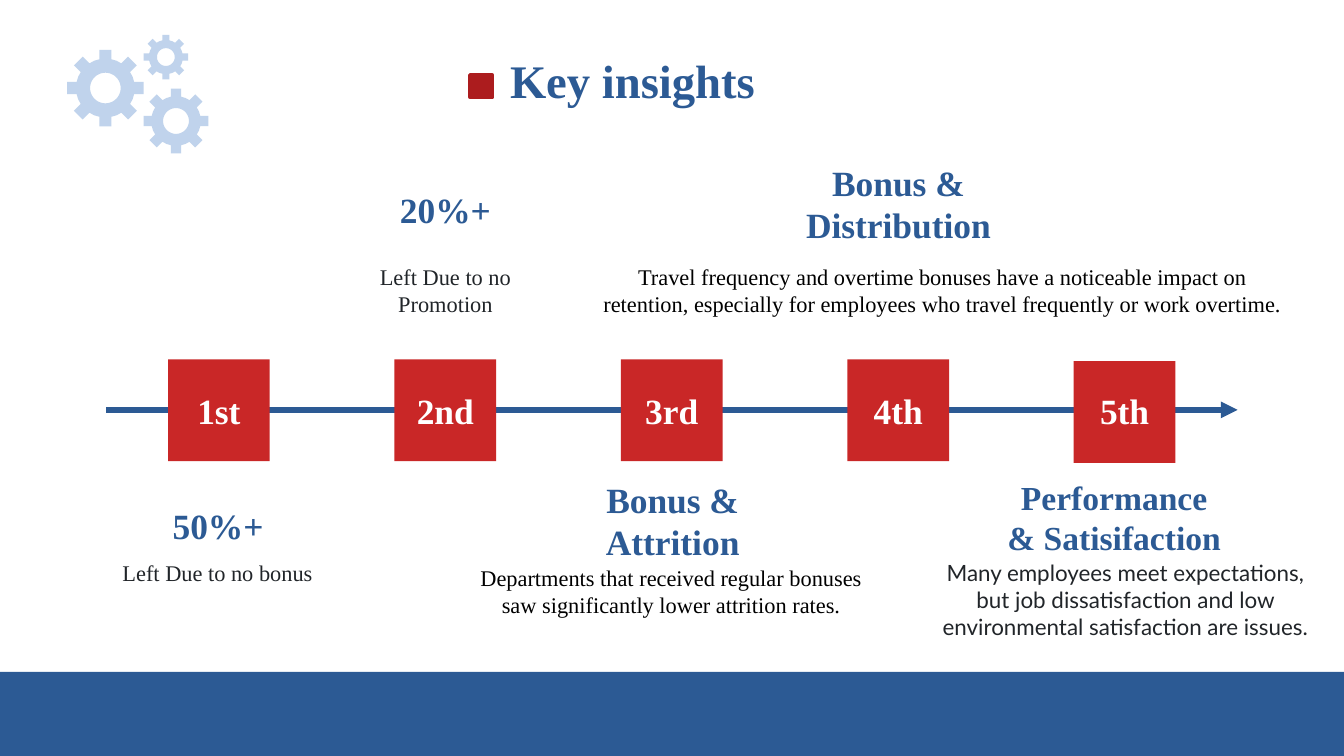
import math
import pptx
import pptx.util
import pptx.dml.color
import pptx.enum.text
import pptx.enum.shapes
import pptx.oxml
import pptx.oxml.ns
import lxml.etree

Pt = pptx.util.Pt
Anchor = pptx.enum.text.MSO_ANCHOR
Shape = pptx.enum.shapes.MSO_SHAPE
qn = pptx.oxml.ns.qn

hues = {
    "blue": "2C5A94",
    "gear": "6E9BD3",
    "red": "C92727",
    "mark": "AC1C1E",
    "ink": "212529",
    "black": "000000",
    "white": "FFFFFF",
}

deck = pptx.Presentation()
deck.slide_width = Pt(720)
deck.slide_height = Pt(405)
slide = deck.slides.add_slide(deck.slide_layouts[6])
shapes = slide.shapes


def paint(shape, hue, line=0):
    shape.shadow.inherit = False
    shape.fill.solid()
    shape.fill.fore_color.rgb = pptx.dml.color.RGBColor.from_string(hues[hue])
    if line:
        shape.line.color.rgb = pptx.dml.color.RGBColor.from_string(hues[hue])
        shape.line.width = Pt(line)
    else:
        shape.line.fill.background()


def write(text, *, box, size=12, hue="black", bold=False, font="Times New Roman",
          anchor=Anchor.TOP, wrap=True):
    frame = shapes.add_textbox(*[Pt(v) for v in box]).text_frame
    frame.word_wrap = wrap
    frame.vertical_anchor = anchor
    frame.margin_left = frame.margin_right = 0
    frame.margin_top = frame.margin_bottom = 0
    frame.text = text
    for para in frame.paragraphs:
        para.alignment = pptx.enum.text.PP_ALIGN.CENTER
        para.line_spacing = Pt(1.2 * size)
        para.font.size = Pt(size)
        para.font.bold = bold
        para.font.name = font
        para.font.color.rgb = pptx.dml.color.RGBColor.from_string(hues[hue])


band = shapes.add_shape(Shape.RECTANGLE, 0, Pt(360), Pt(720), Pt(45))
paint(band, "blue")

for x, y, size in [(56.5, 47.2, 20.5), (88.9, 30.6, 11.9), (94.3, 64.8, 17.3)]:
    rim = []
    for tooth in range(8):
        turn = tooth * math.pi / 4
        for out, side in [(0.75, -0.16), (1, -0.16), (1, 0.16), (0.75, 0.16)]:
            rim.append((out * math.cos(turn) - side * math.sin(turn),
                        out * math.sin(turn) + side * math.cos(turn)))
        mid = turn + math.pi / 8
        rim.append((0.77 * math.cos(mid), 0.77 * math.sin(mid)))
    hole = [(0.4 * math.cos(k * math.pi / 24), -0.4 * math.sin(k * math.pi / 24))
            for k in range(48)]
    rim, hole = [[(Pt(x + size * a), Pt(y + size * b)) for a, b in ring]
                 for ring in (rim, hole)]
    draw = shapes.build_freeform(*rim[0])
    draw.add_line_segments(rim[1:])
    draw.move_to(*hole[0])
    draw.add_line_segments(hole[1:])
    gear = draw.convert_to_shape()
    paint(gear, "gear")
    tint = gear.fill._xPr.find(qn("a:solidFill"))[0]
    lxml.etree.SubElement(tint, qn("a:alpha")).set("val", "43000")

arrow = shapes.add_connector(pptx.enum.shapes.MSO_CONNECTOR.STRAIGHT,
                             Pt(57), Pt(219.6), Pt(663), Pt(219.6))
arrow.line.color.rgb = pptx.dml.color.RGBColor.from_string(hues["blue"])
arrow.line.width = Pt(3)
head = lxml.etree.SubElement(arrow.line._get_or_add_ln(), qn("a:tailEnd"))
head.set("type", "triangle")
lxml.etree.SubElement(arrow._element.spPr, qn("a:effectLst"))

for step, label in enumerate(["1st", "2nd", "3rd", "4th", "5th"]):
    left = 90 + 121.3 * step
    top = 193.5 if label == "5th" else 192.5
    tile = shapes.add_shape(Shape.RECTANGLE, Pt(left), Pt(top), Pt(54.5), Pt(54.5))
    paint(tile, "red")
    write(label, box=(left, 192.5, 54.5, 54.5), size=19, hue="white", bold=True,
          anchor=Anchor.MIDDLE)

mark = shapes.add_shape(Shape.RECTANGLE, Pt(251.8), Pt(40.2), Pt(12), Pt(12))
paint(mark, "mark", line=2)
write("Key insights", box=(265.7, 28, 146.2, 31), size=25, hue="blue", bold=True,
      wrap=False)

heads = [
    ("50%+", (56, 258.5, 121.7, 34.5), 19),
    ("20%+", (177.8, 89.3, 121.7, 34.5), 19),
    ("Bonus & Attrition", (299.5, 258.5, 121.7, 43.2), 19),
    ("Bonus & Distribution", (420.5, 97.2, 121.7, 34.5), 19),
    ("Performance\n& Satisifaction", (524.2, 257.8, 145.4, 41), 18),
]
for text, box, size in heads:
    write(text, box=box, size=size, hue="blue", bold=True, anchor=Anchor.BOTTOM)

notes = [
    ("Left Due to no bonus", (50.4, 299.5, 132.5, 41.8), "ink", "Times New Roman"),
    ("Left Due to no Promotion", (177.8, 141.1, 121.7, 41.8), "ink", "Times New Roman"),
    ("Departments that received regular bonuses saw significantly lower attrition rates.",
     (254.9, 302.4, 209.5, 41.8), "black", "Times New Roman"),
    ("Travel frequency and overtime bonuses have a noticeable impact on retention, "
     "especially for employees who travel frequently or work overtime.",
     (321.8, 141.1, 366.5, 41.8), "black", "Times New Roman"),
    ("Many employees meet expectations, but job dissatisfaction and low environmental "
     "satisfaction are issues.", (498.2, 299.5, 209.5, 41.8), "ink", "Lato"),
]
for text, box, hue, font in notes:
    write(text, box=box, hue=hue, font=font)

deck.save("out.pptx")
